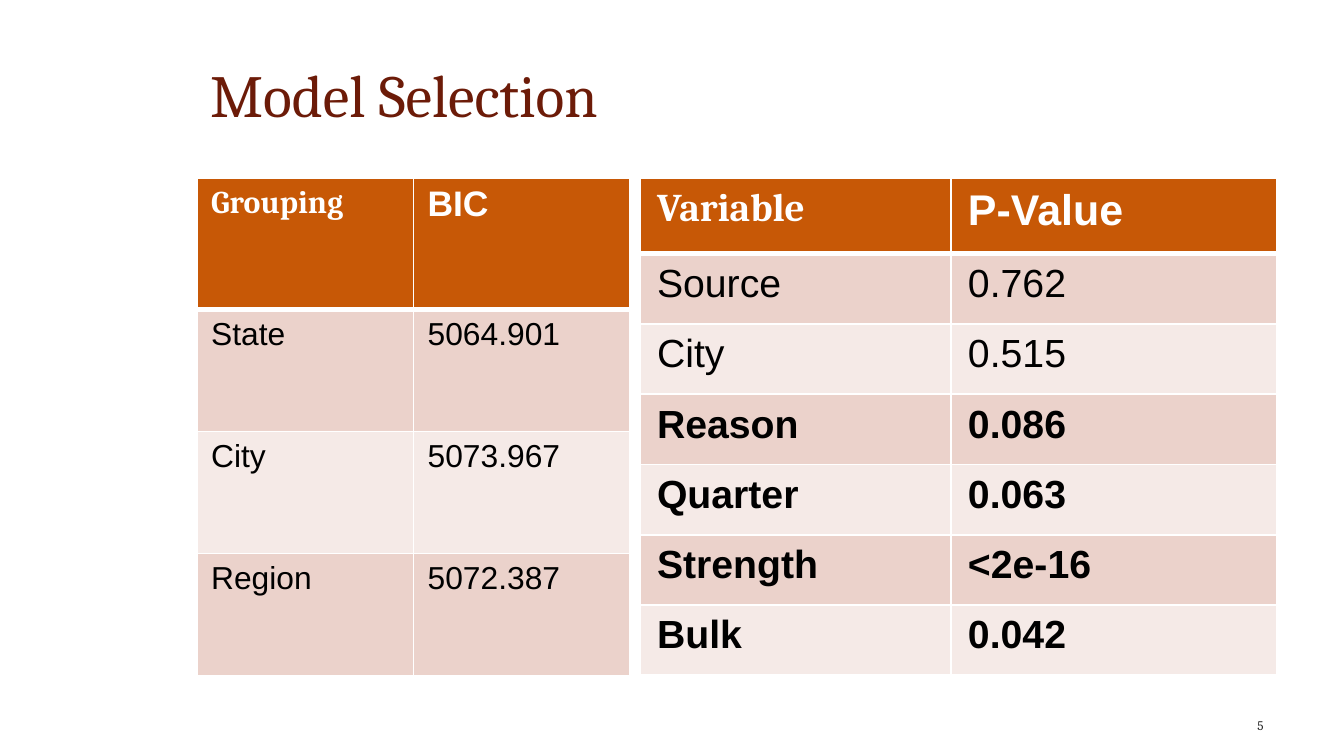
from dataclasses import dataclass
from typing import Any

from lxml import etree
from pptx import Presentation
from pptx.dml import color
from pptx.enum import text
from pptx.oxml import ns
from pptx.util import Pt

COLORS = {
    "title": "6C1B08",
    "number": "1C1C1C",
    "header": "C75806",
    "odd": "EBD2CB",
    "even": "F5EAE7",
    "white": "FFFFFF",
    "black": "000000",
}


@dataclass
class SlideBuilder:
    slide: Any
    heading_font: str = "Cambria"
    body_font: str = "Arial"

    def style(self, paragraph, size, color_name, font_name, bold=False):
        font = paragraph.font
        font.size = Pt(size)
        font.name = font_name
        font.bold = bold
        font.color.rgb = color.RGBColor.from_string(COLORS[color_name])

    def text_box(self, content, left, top, width, height, size, color_name,
                 anchor=text.MSO_ANCHOR.TOP, align=text.PP_ALIGN.LEFT):
        shape = self.slide.shapes.add_textbox(Pt(left), Pt(top), Pt(width), Pt(height))
        frame = shape.text_frame
        frame.word_wrap = True
        frame.vertical_anchor = anchor
        paragraph = frame.paragraphs[0]
        paragraph.text = content
        paragraph.alignment = align
        self.style(paragraph, size, color_name, self.heading_font)
        return paragraph

    def border(self, cell, side, width):
        properties = cell._tc.get_or_add_tcPr()
        line = etree.SubElement(properties, ns.qn(f"a:ln{side}"), w=str(Pt(width)))
        fill = etree.SubElement(line, ns.qn("a:solidFill"))
        etree.SubElement(fill, ns.qn("a:srgbClr"), val=COLORS["white"])

    def cell(self, cell, content, row, margins, size, color_name, font_name, bold):
        cell.margin_left = cell.margin_right = Pt(margins[0])
        cell.margin_top = cell.margin_bottom = Pt(margins[1])
        widths = {"L": 1, "R": 1, "T": 3 if row == 1 else 1, "B": 3 if row == 0 else 1}
        for side, width in widths.items():
            self.border(cell, side, width)
        fill_name = "header" if row == 0 else "odd" if row % 2 else "even"
        cell.fill.solid()
        cell.fill.fore_color.rgb = color.RGBColor.from_string(COLORS[fill_name])
        paragraph = cell.text_frame.paragraphs[0]
        paragraph.text = content
        self.style(paragraph, size, color_name, font_name, bold)

    def table(self, rows, left, top, column_widths, header_height, row_height,
              margins, size, bold_rows=()):
        height = header_height + row_height * (len(rows) - 1)
        frame = self.slide.shapes.add_table(
            len(rows), len(column_widths), Pt(left), Pt(top),
            Pt(sum(column_widths)), Pt(height))
        table = frame.table
        for column, width in zip(table.columns, column_widths):
            column.width = Pt(width)
        for row, values in enumerate(rows):
            table.rows[row].height = Pt(row_height if row else header_height)
            for column, value in enumerate(values):
                if row:
                    look = size, "black", self.body_font, values[0] in bold_rows
                elif column:
                    look = size + 2, "white", self.body_font, True
                else:
                    look = size, "white", self.heading_font, True
                self.cell(table.cell(row, column), value, row, margins, *look)


def main():
    presentation = Presentation()
    presentation.slide_width = Pt(720)
    presentation.slide_height = Pt(405)
    builder = SlideBuilder(presentation.slides.add_slide(presentation.slide_layouts[6]))

    groupings = [
        ("Grouping", "BIC"),
        ("State", "5064.901"),
        ("City", "5073.967"),
        ("Region", "5072.387"),
    ]
    variables = [
        ("Variable", "P-Value"),
        ("Source", "0.762"),
        ("City", "0.515"),
        ("Reason", "0.086"),
        ("Quarter", "0.063"),
        ("Strength", "<2e-16"),
        ("Bulk", "0.042"),
    ]
    builder.table(groupings, 105.5, 95.3, (116, 116), 70.4, 65.4, (7.6, 3.8), 17)
    builder.table(variables, 342.8, 95.3, (166.6, 174.6), 40.6, 37.67, (9.2, 4.6), 21,
                  bold_rows=("Reason", "Quarter", "Strength", "Bulk"))
    builder.text_box("Model Selection", 105.5, 16, 578, 68, 32, "title",
                     anchor=text.MSO_ANCHOR.MIDDLE)
    number = builder.text_box("5", 516, 381.6, 168, 16, 7, "number",
                              align=text.PP_ALIGN.RIGHT)
    number.line_spacing = 0.9
    number.space_after = Pt(6)

    presentation.save("out.pptx")


if __name__ == "__main__":
    main()
